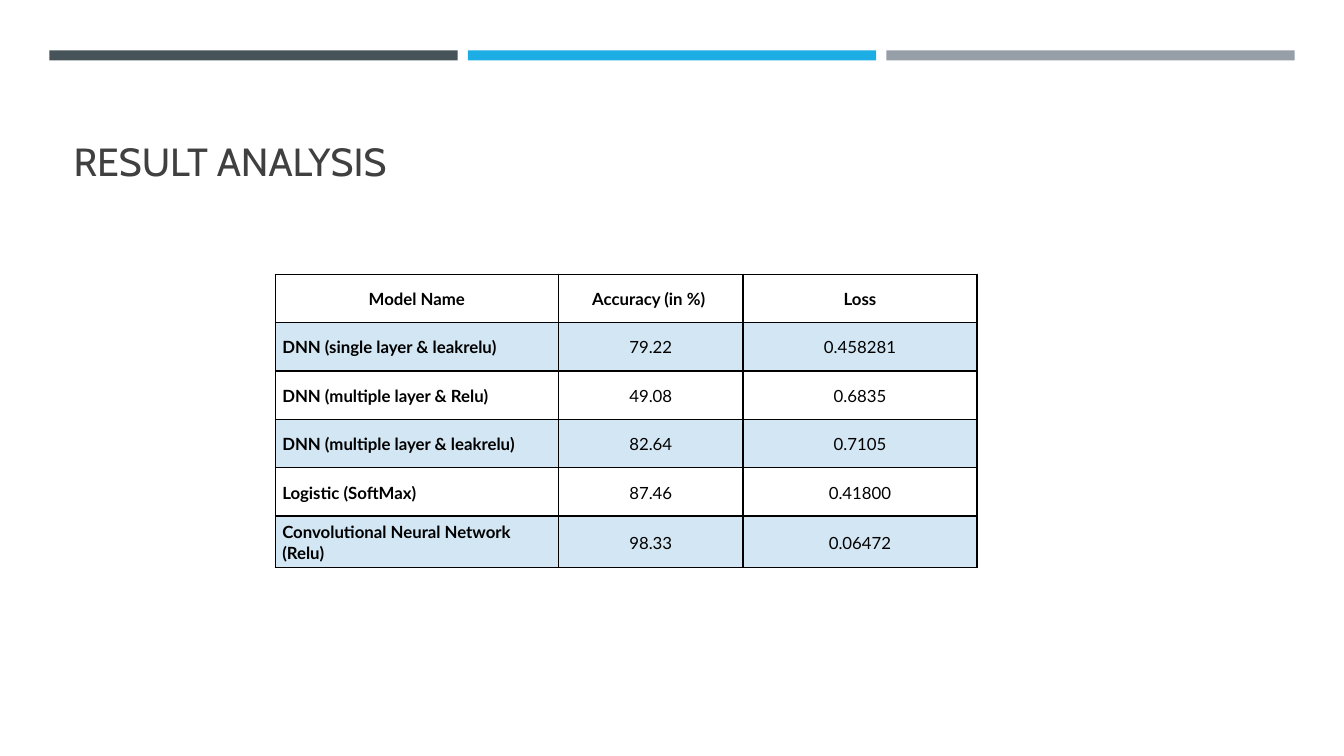
from pptx import Presentation
from pptx.dml.color import RGBColor
from pptx.enum.shapes import MSO_SHAPE
from pptx.enum.text import MSO_ANCHOR, MSO_AUTO_SIZE, PP_ALIGN
from pptx.oxml import parse_xml
from pptx.oxml.ns import nsdecls
from pptx.util import Inches, Pt
from lxml.etree import SubElement

# Content
TITLE = "RESULT ANALYSIS"
RESULTS = [
    ("Model Name", "Accuracy (in %) ", "Loss"),
    ("DNN (single layer & leakrelu)", "79.22", "0.458281"),
    ("DNN (multiple layer & Relu)", "49.08", "0.6835"),
    ("DNN (multiple layer & leakrelu)", "82.64", "0.7105"),
    ("Logistic (SoftMax)", "87.46", "0.41800"),
    ("Convolutional Neural Network (Relu)", "98.33", "0.06472"),
]
COLUMN_WIDTHS = [2.81, 1.83, 2.32]
ROW_HEIGHTS = [0.48] * 5 + [0.51]

THEME = {
    "bars": ["465359", "1CADE4", "969FA7"],
    "title": {"font": "Cabin", "size": 28, "color": "404040"},
    "cell": {"font": "Lato", "size": 12, "color": "000000"},
    "band": "2683C6",
    "band_alpha": 20,
    "border": "000000",
    "border_width": 1,
}
BAR_LEFT, BAR_TOP, BAR_WIDTH, BAR_HEIGHT, BAR_STEP = 0.49, 0.5, 4.05, 0.1, 4.15


def set_attributes(target, values):
    for name, value in values.items():
        setattr(target, name, value)


def style_font(font, style, bold=False):
    set_attributes(font, {"name": style["font"], "size": Pt(style["size"]), "bold": bold})
    font.color.rgb = RGBColor.from_string(style["color"])


def add_borders(cell):
    properties = cell._tc.get_or_add_tcPr()
    for side in ("lnL", "lnR", "lnT", "lnB"):
        properties.append(parse_xml(
            f'<a:{side} {nsdecls("a")} w="{Pt(THEME["border_width"])}"><a:solidFill>'
            f'<a:srgbClr val="{THEME["border"]}"/></a:solidFill></a:{side}>'))


def fill_band(cell):
    cell.fill.solid()
    cell.fill.fore_color.rgb = RGBColor.from_string(THEME["band"])
    color = cell._tc.tcPr.find(".//{*}srgbClr[@val='%s']" % THEME["band"])
    SubElement(color, color.tag.replace("srgbClr", "alpha"),
               val=str(THEME["band_alpha"] * 1000))


def main():
    presentation = Presentation()
    set_attributes(presentation, {"slide_width": Inches(13.33), "slide_height": Inches(7.5)})
    slide = presentation.slides.add_slide(presentation.slide_layouts[5])

    # Three bars across the top
    for index, color in enumerate(THEME["bars"]):
        bar = slide.shapes.add_shape(
            MSO_SHAPE.RECTANGLE, Inches(BAR_LEFT + index * BAR_STEP), Inches(BAR_TOP),
            Inches(BAR_WIDTH), Inches(BAR_HEIGHT))
        bar.shadow.inherit = False
        bar.fill.solid()
        bar.fill.fore_color.rgb = RGBColor.from_string(color)
        bar.line.fill.background()

    # Title
    title = slide.shapes.title
    set_attributes(title, {"left": Inches(0.63), "top": Inches(0.8),
                           "width": Inches(12.06), "height": Inches(1.08)})
    set_attributes(title.text_frame, {
        "text": TITLE, "vertical_anchor": MSO_ANCHOR.BOTTOM,
        "word_wrap": True, "auto_size": MSO_AUTO_SIZE.NONE})
    heading = title.text_frame.paragraphs[0]
    heading.alignment = PP_ALIGN.LEFT
    style_font(heading.runs[0].font, THEME["title"])

    # Results table
    table = slide.shapes.add_table(
        len(RESULTS), len(COLUMN_WIDTHS), Inches(2.73), Inches(2.72),
        Inches(sum(COLUMN_WIDTHS)), Inches(sum(ROW_HEIGHTS))).table
    set_attributes(table, {"first_row": False, "horz_banding": False})
    for column, width in zip(table.columns, COLUMN_WIDTHS):
        column.width = Inches(width)
    for row, height in zip(table.rows, ROW_HEIGHTS):
        row.height = Inches(height)

    for row_index, result in enumerate(RESULTS):
        for column_index, value in enumerate(result):
            is_header, is_model = row_index == 0, column_index == 0
            cell = table.cell(row_index, column_index)
            set_attributes(cell, {
                "text": value, "vertical_anchor": MSO_ANCHOR.MIDDLE,
                "margin_left": Inches(0.07), "margin_right": Inches(0.07),
                "margin_top": 0, "margin_bottom": 0})
            paragraph = cell.text_frame.paragraphs[0]
            left_aligned = is_model and not is_header
            set_attributes(paragraph, {
                "line_spacing": 1.07,
                "alignment": PP_ALIGN.LEFT if left_aligned else PP_ALIGN.CENTER})
            style_font(paragraph.runs[0].font, THEME["cell"], bold=is_header or is_model)
            add_borders(cell)
            if row_index % 2:
                fill_band(cell)
            else:
                cell.fill.background()

    presentation.save("out.pptx")


if __name__ == "__main__":
    main()
